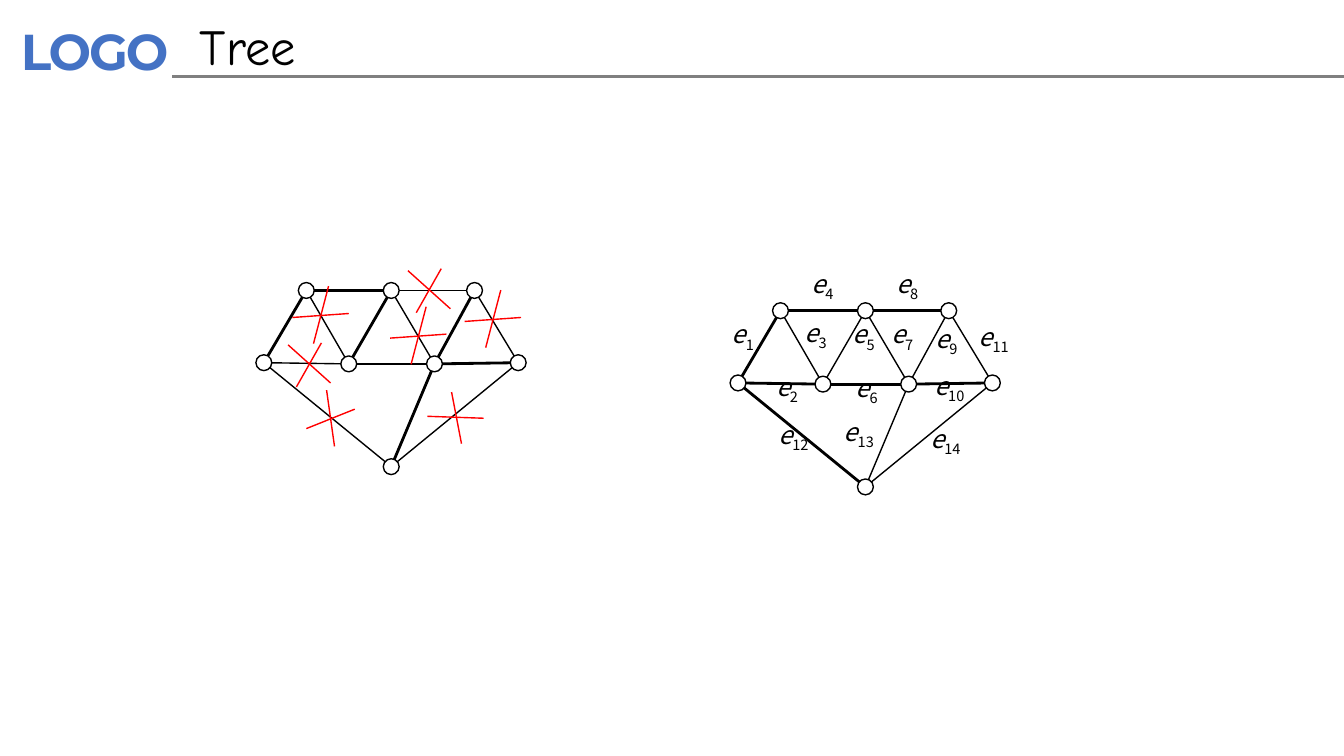
import math

import pptx
import pptx.dml.color
import pptx.enum.shapes
import pptx.enum.text
import pptx.util
from lxml import etree
from pptx.oxml.ns import qn

Cm = pptx.util.Cm
COLORS = {"ink": "000000", "cross": "FF0000", "rule": "808080", "logo": "4472C4"}
NODE_RADIUS = 0.2


def add_line(x1, y1, x2, y2, color, width):
    line = slide.shapes.add_connector(
        pptx.enum.shapes.MSO_CONNECTOR.STRAIGHT, Cm(x1), Cm(y1), Cm(x2), Cm(y2))
    line.line.color.rgb = pptx.dml.color.RGBColor.from_string(COLORS[color])
    line.line.width = pptx.util.Pt(width)
    etree.SubElement(line._element.spPr, qn("a:effectLst"))


def add_run(paragraph, text, color, **formats):
    run = paragraph.add_run()
    run.text = text
    run.font.color.rgb = pptx.dml.color.RGBColor.from_string(COLORS[color])
    for name, value in formats.items():
        setattr(run.font, name, value)
    return run._r.get_or_add_rPr()


presentation = pptx.Presentation()
presentation.slide_width = Cm(33.87)
presentation.slide_height = Cm(19.05)
slide = presentation.slides.add_slide(presentation.slide_layouts[5])

logo = slide.shapes.add_textbox(Cm(0.2), Cm(0.33), Cm(4.72), Cm(1.88))
logo_frame = {"word_wrap": True, "margin_left": Cm(0.33), "margin_right": Cm(0.33),
              "margin_top": Cm(0.18), "margin_bottom": Cm(0.18)}
for name, value in logo_frame.items():
    setattr(logo.text_frame, name, value)
logo_run = add_run(logo.text_frame.paragraphs[0], "LOGO", "logo",
                   name="Montserrat", size=pptx.util.Pt(36), bold=True)
logo_run.set("spc", "-150")

add_line(4.34, 1.93, 33.87, 1.93, "rule", 2)

title = slide.shapes.title
title_place = {"left": Cm(4.78), "top": Cm(0.25), "width": Cm(21.89), "height": Cm(1.8)}
for name, value in title_place.items():
    setattr(title, name, value)
title.text_frame.vertical_anchor = pptx.enum.text.MSO_ANCHOR.MIDDLE
title_paragraph = title.text_frame.paragraphs[0]
title_paragraph.alignment = pptx.enum.text.PP_ALIGN.LEFT
add_run(title_paragraph, "Tree", "ink", name="Comic Neue", size=pptx.util.Pt(36))

nodes = {"A": (7.72, 7.32), "B": (9.86, 7.32), "C": (11.96, 7.32),
         "D": (6.65, 9.14), "E": (8.79, 9.17), "F": (10.95, 9.17),
         "G": (13.06, 9.14), "H": (9.86, 11.76)}
edges = ["DA", "DE", "AE", "AB", "EB", "EF", "BF", "BC", "FC", "FG", "CG", "DH", "FH", "GH"]
trees = [
    {"shift": (0, 0), "bold": {1, 4, 5, 6, 9, 10, 13}},
    {"shift": (11.95, 0.51), "bold": {1, 2, 4, 6, 8, 10, 12}},
]

for tree in trees:
    shift_x, shift_y = tree["shift"]
    for number, (start, end) in enumerate(edges, 1):
        x1, y1 = nodes[start]
        x2, y2 = nodes[end]
        length = math.hypot(x2 - x1, y2 - y1)
        trim_x = NODE_RADIUS * (x2 - x1) / length
        trim_y = NODE_RADIUS * (y2 - y1) / length
        add_line(x1 + trim_x + shift_x, y1 + trim_y + shift_y,
                 x2 - trim_x + shift_x, y2 - trim_y + shift_y,
                 "ink", 2 if number in tree["bold"] else 1)
    for x, y in nodes.values():
        node = slide.shapes.add_shape(
            pptx.enum.shapes.MSO_SHAPE.OVAL,
            Cm(x - NODE_RADIUS + shift_x), Cm(y - NODE_RADIUS + shift_y),
            Cm(2 * NODE_RADIUS), Cm(2 * NODE_RADIUS))
        node.shadow.inherit = False
        node.fill.background()
        node.line.color.rgb = pptx.dml.color.RGBColor.from_string(COLORS["ink"])
        node.line.width = pptx.util.Pt(1)

crosses = [
    ([(8.23, 9.83, 8.43, 11.25), (8.94, 10.31, 7.72, 10.8)], [(0, 0)]),
    ([(8.28, 7.21, 7.9, 8.66), (8.79, 7.9, 7.37, 8)], [(0, 0), (2.46, 0.52), (4.34, 0.1)]),
    ([(10.77, 10.49, 12.19, 10.54), (11.38, 9.88, 11.63, 11.18)], [(0, 0)]),
    ([(7.26, 8.69, 8.33, 9.65), (8.1, 8.64, 7.47, 9.75)], [(0, 0), (3.02, -1.87)]),
]
for strokes, shifts in crosses:
    for shift_x, shift_y in shifts:
        for x1, y1, x2, y2 in strokes:
            add_line(x1 + shift_x, y1 + shift_y, x2 + shift_x, y2 + shift_y, "cross", 1)

label_places = [(18.19, 8.03), (19.3, 9.35), (20.02, 8), (20.19, 6.76), (21.23, 8.03),
                (21.31, 9.37), (22.2, 8.03), (22.33, 6.76), (23.32, 8.15), (23.39, 9.32),
                (24.51, 8.1), (19.46, 10.57), (21.11, 10.49), (23.29, 10.67)]
label_frame = {"word_wrap": True, "margin_left": 0, "margin_right": 0,
               "margin_top": 0, "margin_bottom": 0}
label_font = {"name": "Noto Sans CJK SC", "size": pptx.util.Pt(18)}
for number, (x, y) in enumerate(label_places, 1):
    label = slide.shapes.add_textbox(Cm(x), Cm(y), Cm(1.07), Cm(1.02))
    for name, value in label_frame.items():
        setattr(label.text_frame, name, value)
    paragraph = label.text_frame.paragraphs[0]
    paragraph.alignment = pptx.enum.text.PP_ALIGN.CENTER
    add_run(paragraph, "e", "ink", italic=True, **label_font)
    subscript = add_run(paragraph, str(number), "ink", **label_font)
    subscript.set("baseline", "-25000")

presentation.save("out.pptx")
